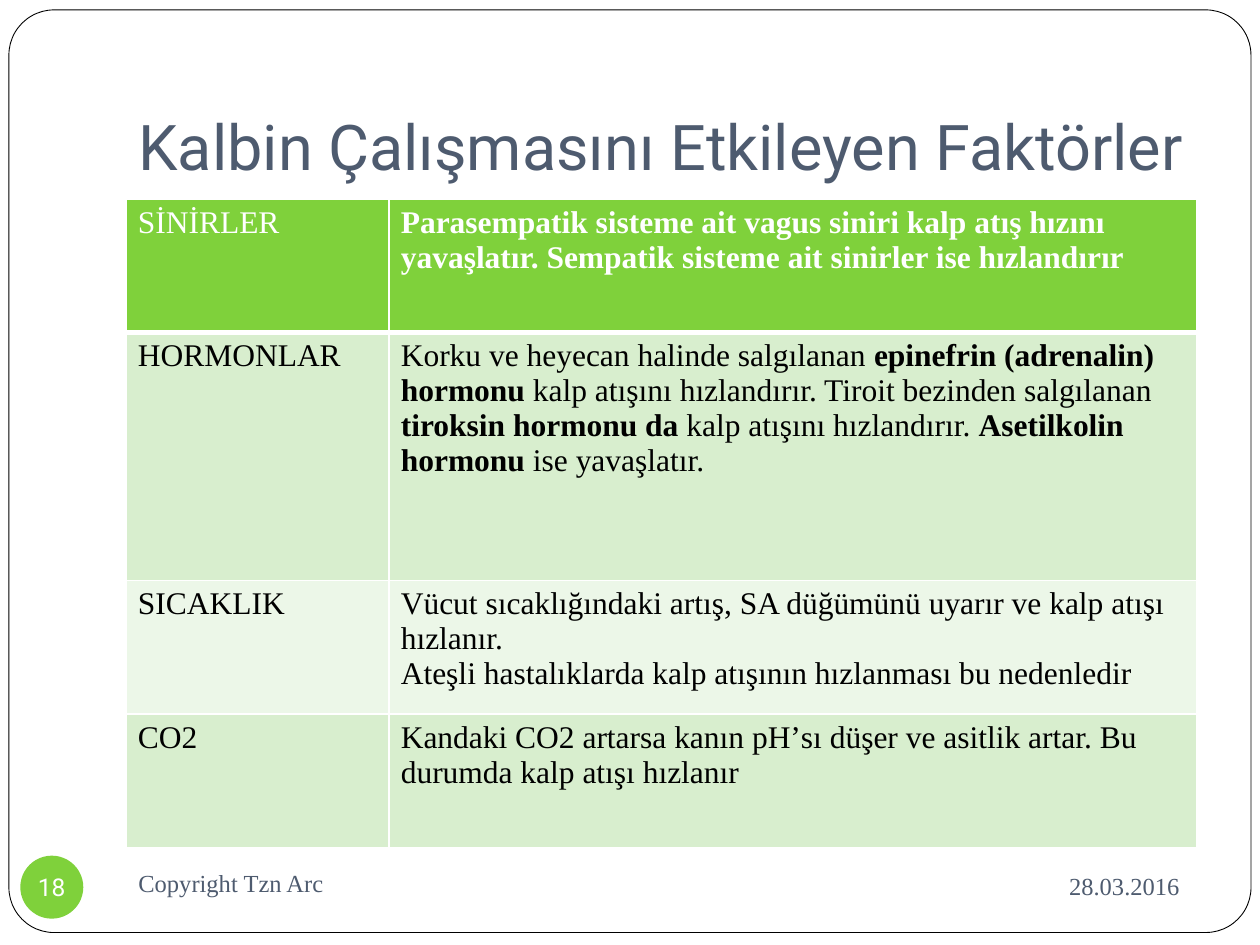
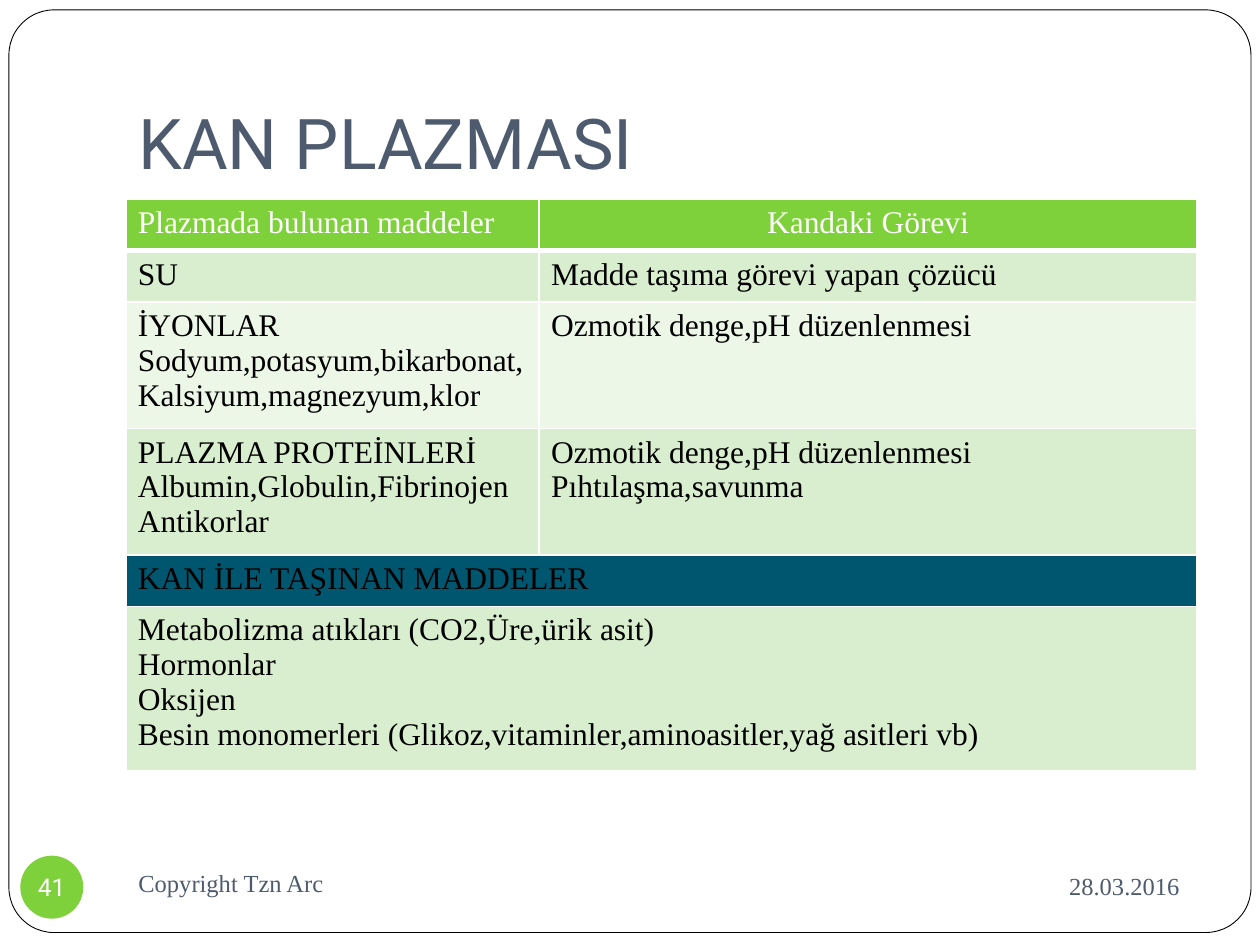
import lxml.etree
import pptx
import pptx.dml.color
import pptx.enum.shapes
import pptx.enum.text
import pptx.oxml.ns
import pptx.util

Cm = pptx.util.Cm
Pt = pptx.util.Pt
RGBColor = pptx.dml.color.RGBColor
Align = pptx.enum.text.PP_ALIGN
Anchor = pptx.enum.text.MSO_ANCHOR
Shapes = pptx.enum.shapes.MSO_SHAPE
qn = pptx.oxml.ns.qn

WHITE = RGBColor(0xFF, 0xFF, 0xFF)
BLACK = RGBColor(0, 0, 0)
SLATE = RGBColor(0x4E, 0x5B, 0x6F)
GREEN = RGBColor(0x7F, 0xD1, 0x3B)
BAND_DARK = RGBColor(0xD8, 0xEE, 0xCE)
BAND_LIGHT = RGBColor(0xEC, 0xF7, 0xE8)
TEAL = RGBColor(0x00, 0x56, 0x6E)
HEADING_FONT = "Roboto"
BODY_FONT = "Times New Roman"
LEFT = 2.54
WIDTH = 21.59

FACTORS = [
    ["SİNİRLER",
     "*Parasempatik sisteme ait vagus siniri kalp atış hızını yavaşlatır. "
     "Sempatik sisteme ait sinirler ise hızlandırır*"],
    ["HORMONLAR",
     "Korku ve heyecan halinde salgılanan *epinefrin (adrenalin) hormonu *kalp atışını "
     "hızlandırır. Tiroit bezinden salgılanan *tiroksin hormonu da *kalp atışını "
     "hızlandırır. *Asetilkolin hormonu *ise yavaşlatır."],
    ["SICAKLIK",
     "Vücut sıcaklığındaki artış, SA düğümünü uyarır ve kalp atışı hızlanır.\n"
     "Ateşli hastalıklarda kalp atışının hızlanması bu nedenledir"],
    ["CO2",
     "Kandaki CO2 artarsa kanın pHʼsı düşer ve asitlik artar. "
     "Bu durumda kalp atışı hızlanır"],
]
PLASMA = [
    ["Plazmada bulunan maddeler", "Kandaki Görevi"],
    ["SU", "Madde taşıma görevi yapan çözücü"],
    ["İYONLAR\nSodyum,potasyum,bikarbonat,\nKalsiyum,magnezyum,klor",
     "Ozmotik denge,pH düzenlenmesi"],
    ["PLAZMA PROTEİNLERİ\nAlbumin,Globulin,Fibrinojen\nAntikorlar",
     "Ozmotik denge,pH düzenlenmesi\nPıhtılaşma,savunma"],
    ["KAN İLE TAŞINAN MADDELER"],
    ["Metabolizma atıkları (CO2,Üre,ürik asit)\nHormonlar\nOksijen\n"
     "Besin monomerleri (Glikoz,vitaminler,aminoasitler,yağ asitleri vb)"],
]


class Deck:
    """Holds the shared style and the slide being built."""

    def __init__(self):
        self.presentation = pptx.Presentation()
        self.presentation.slide_width = Cm(25.4)
        self.presentation.slide_height = Cm(19.05)
        self.slide = None

    def add_slide(self, title, title_size, number):
        layout = self.presentation.slide_layouts[6]
        self.slide = self.presentation.slides.add_slide(layout)
        frame = self.shape(Shapes.ROUNDED_RECTANGLE, (0.18, 0.2, 25.04, 18.6), WHITE)
        frame.adjustments[0] = 0.049
        frame.line.color.rgb = BLACK
        frame.line.width = Pt(0.5)
        heading = self.text(title, (LEFT, 0.76, WIDTH, 3.18), title_size, HEADING_FONT)
        heading.vertical_anchor = Anchor.BOTTOM
        heading.margin_bottom = Cm(0.25)
        self.text("28.03.2016", (17.15, 17.2, 6.88, 1.32), align=Align.RIGHT)
        self.text("Copyright Tzn Arc", (LEFT, 17.15, 11, 1.27))
        self.page_number(number)

    def shape(self, kind, box, fill):
        shape = self.slide.shapes.add_shape(kind, *map(Cm, box))
        shape.shadow.inherit = False
        shape.fill.solid()
        shape.fill.fore_color.rgb = fill
        shape.line.fill.background()
        return shape

    def text(self, words, box, size=14, font=BODY_FONT, align=Align.LEFT):
        text_frame = self.slide.shapes.add_textbox(*map(Cm, box)).text_frame
        text_frame.word_wrap = True
        text_frame.vertical_anchor = Anchor.MIDDLE
        text_frame.text = words
        self.format(text_frame.paragraphs[0], size, font, SLATE, align)
        return text_frame

    def page_number(self, number):
        badge = self.shape(Shapes.OVAL, (0.41, 17.25, 1.27, 1.27), GREEN)
        text_frame = badge.text_frame
        text_frame.margin_left = text_frame.margin_right = 0
        text_frame.margin_top = text_frame.margin_bottom = 0
        text_frame.word_wrap = False
        text_frame.vertical_anchor = Anchor.MIDDLE
        text_frame.text = str(number)
        self.format(text_frame.paragraphs[0], 14, HEADING_FONT, WHITE, Align.CENTER)

    def format(self, paragraph, size, font, color, align=Align.LEFT):
        paragraph.alignment = align
        for run in paragraph.runs:
            run.font.size = Pt(size)
            run.font.name = font
            run.font.color.rgb = color

    def table(self, rows, widths, heights):
        box = (LEFT, 4.01, WIDTH, sum(heights))
        table = self.slide.shapes.add_table(
            len(rows), len(widths), *map(Cm, box)).table
        table.horz_banding = False
        for column, width in zip(table.columns, widths):
            column.width = Cm(width)
        for index, (entries, height) in enumerate(zip(rows, heights)):
            table.rows[index].height = Cm(height)
            fill = BAND_DARK if index % 2 else BAND_LIGHT
            if index == 0:
                fill = GREEN
            elif index == 4:
                fill = TEAL
            for cell in table.rows[index].cells:
                self.style_cell(cell, fill, index == 0)
            if len(entries) < len(widths):
                table.cell(index, 0).merge(table.cell(index, len(widths) - 1))
            for column, entry in enumerate(entries):
                self.fill_cell(table.cell(index, column), entry,
                               BLACK if index else WHITE)
        return table

    def style_cell(self, cell, fill, is_header):
        cell.margin_left = cell.margin_right = Cm(0.24)
        cell.margin_top = cell.margin_bottom = Cm(0.13)
        properties = cell._tc.get_or_add_tcPr()
        for side in ("lnL", "lnR", "lnT", "lnB"):
            width = Pt(3 if is_header and side == "lnB" else 1)
            line = lxml.etree.SubElement(properties, qn(f"a:{side}"), w=str(width))
            solid = lxml.etree.SubElement(line, qn("a:solidFill"))
            lxml.etree.SubElement(solid, qn("a:srgbClr"), val=str(WHITE))
        cell.fill.solid()
        cell.fill.fore_color.rgb = fill

    def fill_cell(self, cell, entry, color):
        cell.text_frame.text = entry.replace("*", "")
        for paragraph, line in zip(cell.text_frame.paragraphs, entry.split("\n")):
            pieces = line.split("*")
            paragraph.text = pieces[0]
            for piece in pieces[1:]:
                paragraph.add_run().text = piece
            if len(pieces) == 1:
                paragraph.runs[0].font.bold = False
            else:
                for run in paragraph.runs:
                    run.font.bold = pieces.index(run.text) % 2 == 1
            self.format(paragraph, 18, BODY_FONT, color)


def main():
    deck = Deck()
    deck.add_slide("Kalbin Çalışmasını Etkileyen Faktörler", 36, 18)
    deck.table(FACTORS, (5.3, 16.29), (2.69, 5, 2.69, 2.69))
    deck.add_slide("KAN PLAZMASI", 40, 41)
    plasma = deck.table(PLASMA, (8.33, 13.26), (1.04, 1.04, 2.36, 2.36, 1.04, 3.07))
    plasma.cell(0, 1).text_frame.paragraphs[0].alignment = Align.CENTER
    deck.presentation.save("out.pptx")


if __name__ == "__main__":
    main()
